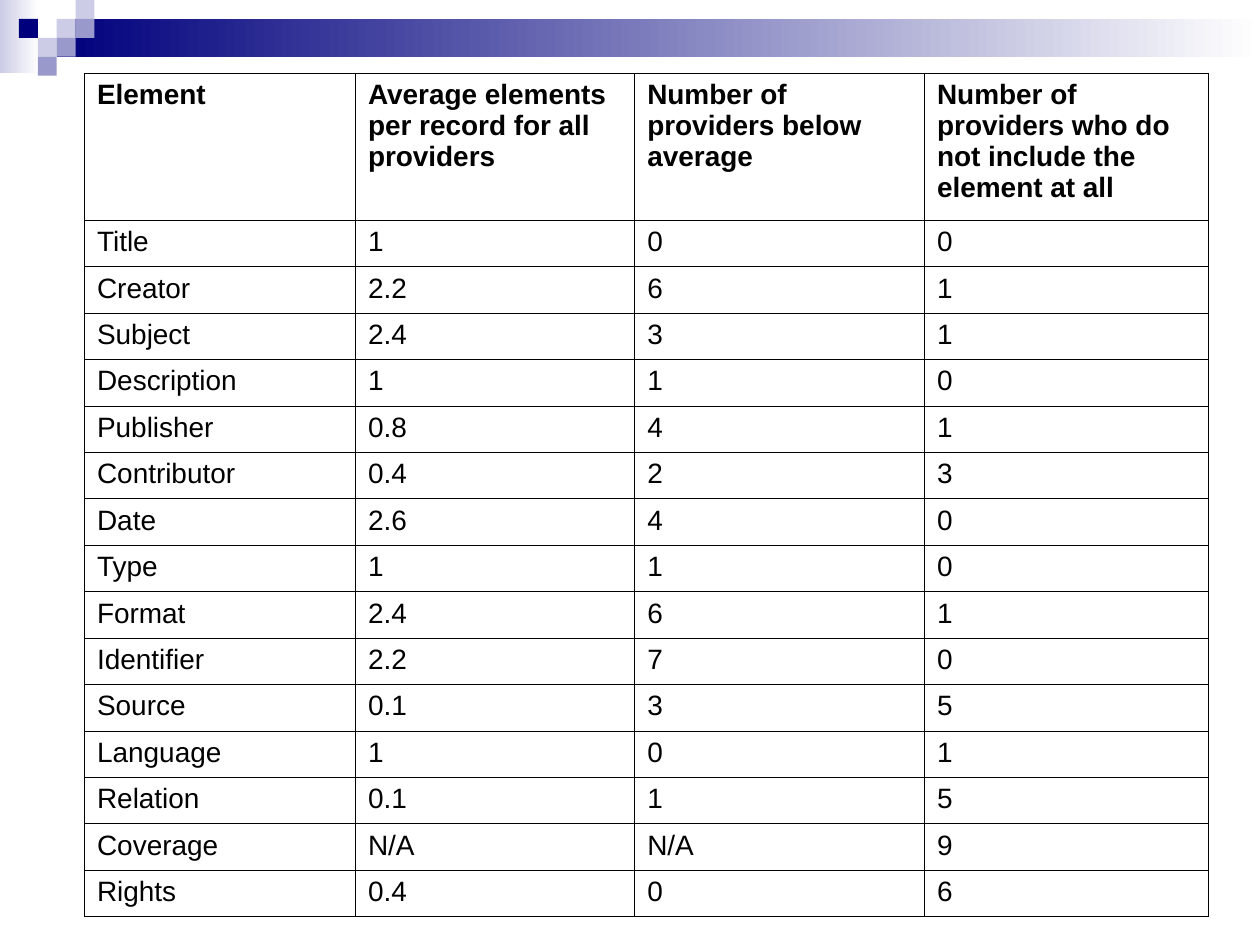
"""Build a slide with a table of metadata element use under a checkered banner."""
from lxml.etree import SubElement
from pptx import Presentation
from pptx.dml.color import RGBColor
from pptx.enum.shapes import MSO_SHAPE
from pptx.oxml.ns import qn
from pptx.util import Pt

THEME = {
    "navy": "00007D",
    "violet": "9999CC",
    "lavender": "CCCCE6",
    "white": "FFFFFF",
    "black": "000000",
    "font": "Arial",
    "size": 16,
    "border": 0.45,
}
SQUARE = 10.8
BANDS = [
    (0, 0, 22.3, 41.8, "lavender"),
    (32.4, SQUARE, 687.6, 21.6, "navy"),
]
CHECKERS = [
    (3, 1, "lavender"),
    (4, 0, "lavender"),
    (4, 1, "violet"),
    (2, 2, "lavender"),
    (1, 1, "navy"),
    (3, 2, "violet"),
    (2, 3, "violet"),
]
COLUMN_WIDTHS = [154.8, 159.6, 165.6, 162]
HEADER_HEIGHT, ROW_HEIGHT = 84, 26.55
ROWS = [
    ("Element", "Average elements per record for all providers",
     "Number of providers below average",
     "Number of providers who do not include the element at all"),
    ("Title", "1", "0", "0"),
    ("Creator", "2.2", "6", "1"),
    ("Subject", "2.4", "3", "1"),
    ("Description", "1", "1", "0"),
    ("Publisher", "0.8", "4", "1"),
    ("Contributor", "0.4", "2", "3"),
    ("Date", "2.6", "4", "0"),
    ("Type", "1", "1", "0"),
    ("Format", "2.4", "6", "1"),
    ("Identifier", "2.2", "7", "0"),
    ("Source", "0.1", "3", "5"),
    ("Language", "1", "0", "1"),
    ("Relation", "0.1", "1", "5"),
    ("Coverage", "N/A", "N/A", "9"),
    ("Rights", "0.4", "0", "6"),
]


def add_rectangle(page, left, top, width, height):
    box = page.shapes.add_shape(
        MSO_SHAPE.RECTANGLE, Pt(left), Pt(top), Pt(width), Pt(height))
    box.shadow.inherit = False
    box.line.fill.background()
    return box


def add_borders(cell):
    properties = cell._tc.get_or_add_tcPr()
    for side in ("lnL", "lnR", "lnT", "lnB"):
        line = SubElement(properties, qn(f"a:{side}"), w=str(Pt(THEME["border"])))
        fill = SubElement(line, qn("a:solidFill"))
        SubElement(fill, qn("a:srgbClr"), val=THEME["black"])


deck = Presentation()
deck.slide_width, deck.slide_height = Pt(720), Pt(540)
page = deck.slides.add_slide(deck.slide_layouts[6])

for left, top, width, height, color in BANDS:
    band = add_rectangle(page, left, top, width, height)
    band.fill.gradient()
    band.fill.gradient_angle = 180
    for stop, name in zip(band.fill.gradient_stops, ("white", color)):
        stop.color.rgb = RGBColor.from_string(THEME[name])

for column, row, color in CHECKERS:
    checker = add_rectangle(page, column * SQUARE, row * SQUARE, SQUARE, SQUARE)
    checker.fill.solid()
    checker.fill.fore_color.rgb = RGBColor.from_string(THEME[color])

row_heights = [HEADER_HEIGHT] + [ROW_HEIGHT] * (len(ROWS) - 1)
table = page.shapes.add_table(
    len(ROWS), len(COLUMN_WIDTHS), Pt(48.3), Pt(41.8),
    Pt(sum(COLUMN_WIDTHS)), Pt(sum(row_heights))).table
for name, value in {"first_row": False, "horz_banding": False}.items():
    setattr(table, name, value)
for column, width in zip(table.columns, COLUMN_WIDTHS):
    column.width = Pt(width)

for index, (row, height, texts) in enumerate(zip(table.rows, row_heights, ROWS)):
    row.height = Pt(height)
    text_format = {"name": THEME["font"], "size": Pt(THEME["size"]), "bold": index == 0}
    for cell, text in zip(row.cells, texts):
        add_borders(cell)
        cell.fill.background()
        span = cell.text_frame.paragraphs[0].add_run()
        span.text = text
        span.font.color.rgb = RGBColor.from_string(THEME["black"])
        for name, value in text_format.items():
            setattr(span.font, name, value)

deck.save("out.pptx")
